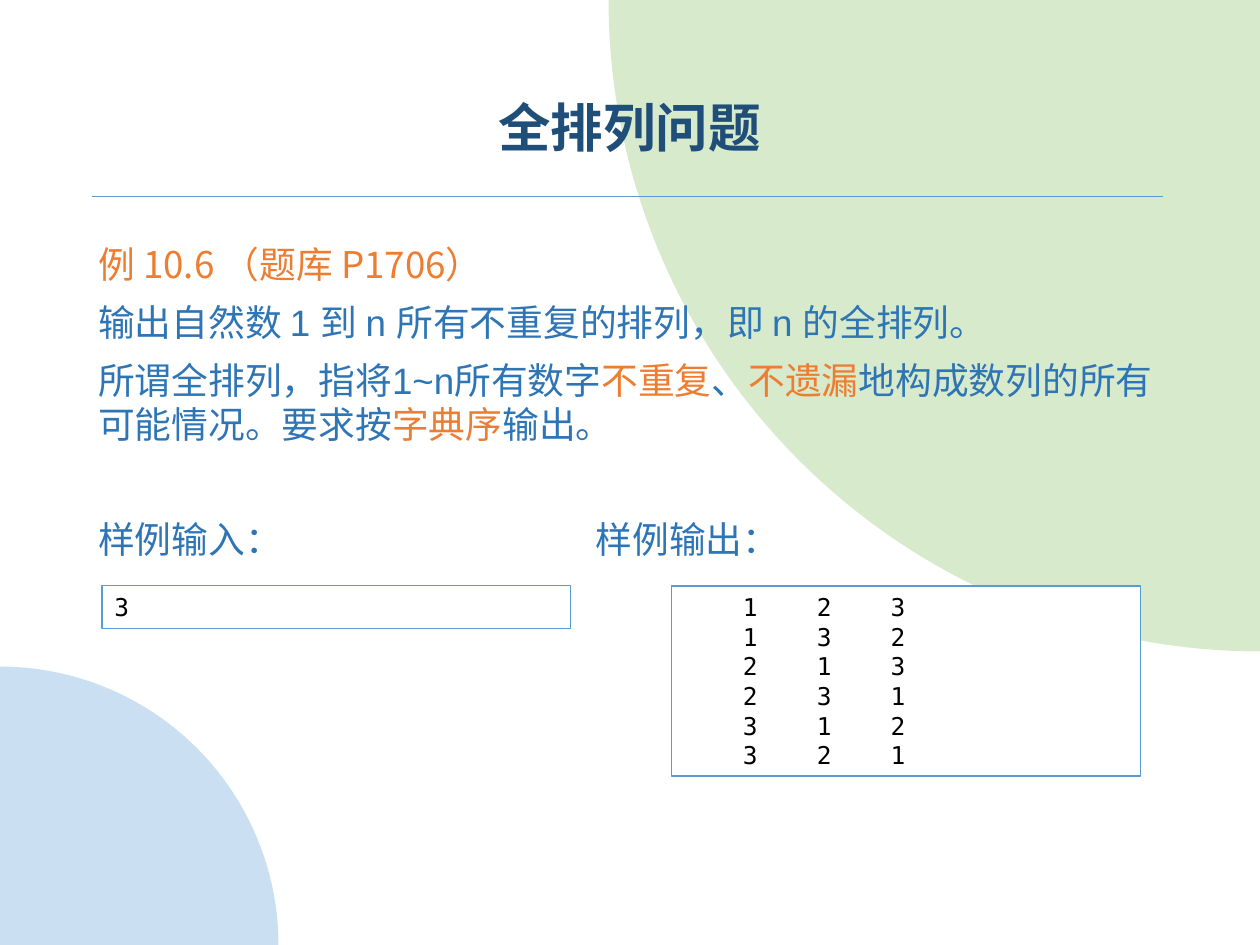
from dataclasses import dataclass
from pptx import Presentation
from pptx import util as u
from pptx.dml.color import RGBColor
from pptx.enum import shapes, text
from pptx.oxml.ns import qn
from lxml import etree


@dataclass(frozen=True)
class Theme:
    navy: str = "1F4E79"
    blue: str = "2E75B6"
    edge: str = "5B9BD5"
    warm: str = "ED7D31"
    green: str = "D8EACC"
    pale: str = "CADFF2"
    white: str = "FFFFFF"
    ink: str = "000000"
    cjk: str = "Noto Sans CJK SC"
    sans: str = "Arial"
    mono: str = "DejaVu Sans Mono"
    head: int = 30
    body: int = 21
    code: int = 14


T = Theme()
W, H = 10, 7.5
LEFT, WIDE = 0.068 * W, 0.863 * W  # text column
TAB = 3.95  # offset of the second sample label


def inch(*vals):
    return [u.Inches(v) for v in vals]


def paint(fmt, hue):
    fmt.solid()
    fmt.fore_color.rgb = RGBColor.from_string(hue)


def write(para, words, hue, size, face, bold=False):
    run = para.add_run()
    run.text = words
    for key, val in dict(size=u.Pt(size), name=face, bold=bold).items():
        setattr(run.font, key, val)
    run.font.color.rgb = RGBColor.from_string(hue)
    east = etree.SubElement(run.font._element, qn("a:ea"))
    east.set("typeface", T.cjk)


def paras(frame, count):
    return [frame.paragraphs[0]] + [frame.add_paragraph() for _ in range(count - 1)]


def disc(slide, x, y, radius, turn, hue):
    """Quarter disc centred on a slide corner."""
    box = inch(x - radius, y - radius, 2 * radius, 2 * radius)
    pie = slide.shapes.add_shape(shapes.MSO_SHAPE.PIE, *box)
    pie.adjustments[0], pie.adjustments[1] = 108, 162
    pie.rotation = turn
    pie.shadow.inherit = False
    paint(pie.fill, hue)
    pie.line.fill.background()


def header(slide, box, words):
    x, y, w, h = box
    # Rule below the title
    rule = slide.shapes.add_connector(
        shapes.MSO_CONNECTOR.STRAIGHT, *inch(x + 0.05, y + h + 0.25, x + w - 0.08, y + h + 0.25))
    rule.line.width = u.Pt(1)
    paint(rule.line.fill, T.edge)
    etree.SubElement(rule._element.spPr, qn("a:effectLst"))
    # Title, raised above the discs
    title = slide.shapes.title
    title.left, title.top, title.width, title.height = inch(*box)
    slide.shapes._spTree.append(title._element)
    frame = title.text_frame
    frame.vertical_anchor = text.MSO_ANCHOR.BOTTOM
    para = frame.paragraphs[0]
    para.alignment = text.PP_ALIGN.CENTER
    para.line_spacing = 0.9
    write(para, words, T.navy, T.head, T.cjk, True)


def prose(slide, box, rows):
    """Each row: space before, face, then (words, colour) runs."""
    frame = slide.shapes.add_textbox(*inch(*box)).text_frame
    frame.word_wrap = True
    for para, (gap, face, runs) in zip(paras(frame, len(rows)), rows):
        para.space_before = u.Pt(gap)
        para.line_spacing = u.Pt(25)
        if any("\t" in words for words, _ in runs):
            stops = etree.SubElement(para._p.get_or_add_pPr(), qn("a:tabLst"))
            etree.SubElement(stops, qn("a:tab"), pos=str(u.Inches(TAB)), algn="l")
        for words, hue in runs:
            write(para, words, hue, T.body, face)


def sample(slide, box, lines):
    card = slide.shapes.add_shape(shapes.MSO_SHAPE.RECTANGLE, *inch(*box))
    card.shadow.inherit = False
    paint(card.fill, T.white)
    paint(card.line.fill, T.edge)
    card.line.width = u.Pt(0.75)
    frame = card.text_frame
    frame.word_wrap = True
    frame.vertical_anchor = text.MSO_ANCHOR.TOP
    for para, words in zip(paras(frame, len(lines)), lines):
        para.alignment = text.PP_ALIGN.LEFT
        para.line_spacing = u.Pt(16.9)
        write(para, words, T.ink, T.code, T.mono)


def main():
    deck = Presentation()
    deck.slide_width, deck.slide_height = inch(W, H)
    slide = deck.slides.add_slide(deck.slide_layouts[5])

    # Corner discs
    disc(slide, W, 0, 5.17, 270, T.green)
    disc(slide, 0, H, 2.21, 90, T.pale)

    header(slide, (LEFT, 0.51, WIDE, 0.8), "全排列问题")

    # Problem statement and sample labels
    prose(slide, (LEFT, H / 4, WIDE, 4.89), [
        (0, T.cjk, [("例 10.6 （题库 P1706）", T.warm)]),
        (8, T.sans, [("输出自然数 1 到 n 所有不重复的排列，即 n 的全排列。", T.blue)]),
        (8, T.sans, [("所谓全排列，指将1~n所有数字", T.blue), ("不重复", T.warm), ("、", T.blue),
                     ("不遗漏", T.warm), ("地构成数列的所有可能情况。要求按", T.blue),
                     ("字典序", T.warm), ("输出。", T.blue)]),
        (41, T.sans, [("样例输入：\t样例输出：", T.blue)]),
    ])

    # Sample input and output
    top, wide = 0.62 * H, 0.372 * W
    sample(slide, (0.081 * W, top, wide, 0.34), ["3"])
    sample(slide, (0.533 * W, top, wide, 1.51), [
        "    1    2    3", "    1    3    2", "    2    1    3",
        "    2    3    1", "    3    1    2", "    3    2    1"])

    deck.save("out.pptx")


if __name__ == "__main__":
    main()
